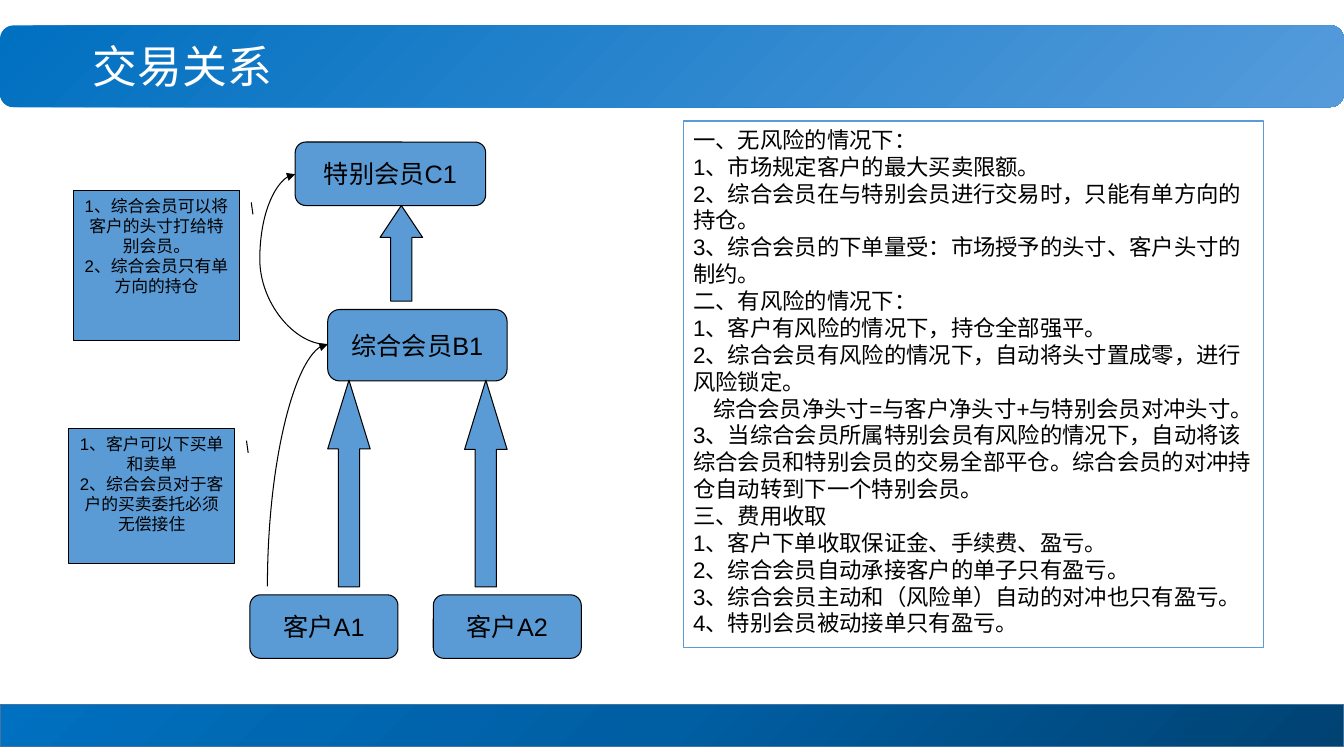
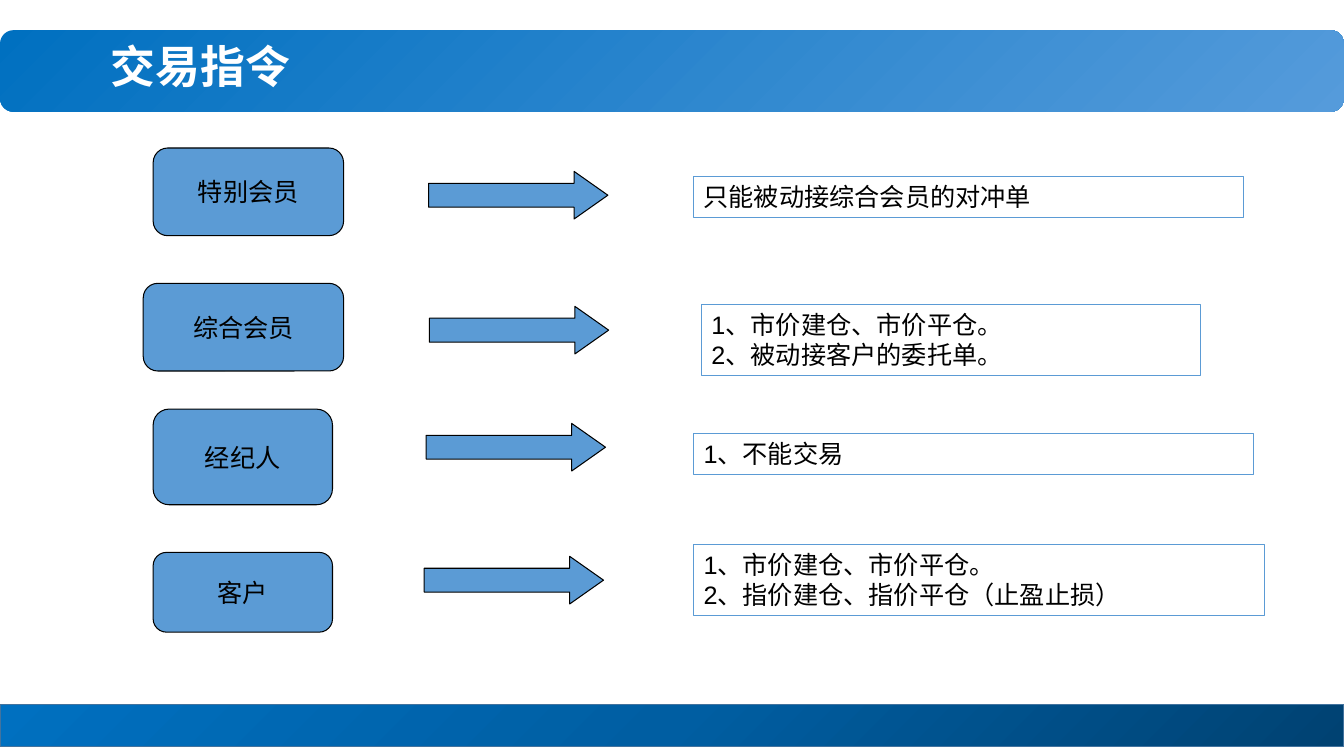
from lxml import etree
from pptx import Presentation
from pptx.dml.color import RGBColor
from pptx.enum.shapes import MSO_CONNECTOR as Link, MSO_SHAPE as Preset
from pptx.enum.text import MSO_ANCHOR as Anchor, MSO_AUTO_SIZE as AutoSize, PP_ALIGN as Align
from pptx.oxml import parse_xml
from pptx.oxml.ns import nsdecls, qn
from pptx.util import Cm, Pt

WIDTH, HEIGHT = 33.87, 19.05
BLUE, BLACK, WHITE, FOOTER_EDGE = "5B9BD5", "000000", "FFFFFF", "43739E"
BAND_STOPS = [(0, "0070C0"), (100, "559BDB")]
BAND_DIRECTION = '<a:lin ang="2700000" scaled="0"/>'
FOOTER_STOPS = [(0, "004272"), (50, "005EA2"), (100, "0070C0")]
FOOTER_DIRECTION = '<a:path path="circle"><a:fillToRect l="100000" t="100000"/></a:path>'

TITLE_FONT = {"name": "Calibri", "size": Pt(32)}
BODY_FONT = {"name": "Arial", "size": Pt(18)}
RULE_FONT = {"name": "Arial", "size": Pt(16)}
NOTE_FONT = {"name": "Arial", "size": Pt(12)}
TITLE_FRAME = {"vertical_anchor": Anchor.MIDDLE, "word_wrap": True, "auto_size": AutoSize.NONE}
BOX_FRAME = {"vertical_anchor": Anchor.MIDDLE, "word_wrap": False}
NOTE_FRAME = {"vertical_anchor": Anchor.TOP, "word_wrap": True}
PANEL_FRAME = {"word_wrap": True, "auto_size": AutoSize.SHAPE_TO_FIT_TEXT}

MEMBERS = [
    ("特别会员C1", (7.44, 3.58, 4.8, 1.6)),
    ("综合会员B1", (8.26, 7.8, 4.52, 1.8)),
    ("客户A1", (6.3, 14.99, 3.73, 1.6)),
    ("客户A2", (10.92, 14.99, 3.73, 1.6)),
]
UP_ARROWS = [
    ((8.26, 9.58, 1.07, 5.21), 1.62),
    ((11.71, 9.58, 1.07, 5.21), 1.63),
    ((9.58, 5.18, 1.07, 2.41), 0.75),
]
CURVES = [
    {"start": (10.55, 12.49), "end": (4.45, 10.97), "rotation": 90,
     "preset": "curvedConnector2", "bend": None},
    {"start": (7.44, 4.39), "end": (8.25, 8.68), "rotation": 180,
     "preset": "curvedConnector3", "bend": 210300},
]
NOTES = [
    (["1、客户可以下买单和卖单", "2、综合会员对于客户的买卖委托必须无偿接住"],
     (1.73, 10.8, 4.19, 3.4), (0.09, 0.18)),
    (["1、综合会员可以将客户的头寸打给特别会员。", "2、综合会员只有单方向的持仓"],
     (1.85, 4.8, 4.19, 3.78), (0.08, 0.16)),
]
RULES = [
    "一、无风险的情况下：",
    "1、市场规定客户的最大买卖限额。",
    "2、综合会员在与特别会员进行交易时，只能有单方向的持仓。",
    "3、综合会员的下单量受：市场授予的头寸、客户头寸的制约。",
    "二、有风险的情况下：",
    "1、客户有风险的情况下，持仓全部强平。",
    "2、综合会员有风险的情况下，自动将头寸置成零，进行风险锁定。",
    "综合会员净头寸=与客户净头寸+与特别会员对冲头寸。",
    "3、当综合会员所属特别会员有风险的情况下，自动将该综合会员和特别会员的交易全部平仓。"
    "综合会员的对冲持仓自动转到下一个特别会员。",
    "三、费用收取",
    "1、客户下单收取保证金、手续费、盈亏。",
    "2、综合会员自动承接客户的单子只有盈亏。",
    "3、综合会员主动和（风险单）自动的对冲也只有盈亏。",
    "4、特别会员被动接单只有盈亏。",
]
FORMULA_ROW = 7

ORDERS = [
    ("特别会员", (3.86, 3.73, 4.8, 2.21), (10.8, 4.32),
     ["只能被动接综合会员的对冲单"], (17.48, 4.45, 13.87, 1.04)),
    ("综合会员", (3.61, 7.14, 5.05, 2.21), (10.82, 7.72),
     ["1、市价建仓、市价平仓。", "2、被动接客户的委托单。"], (17.68, 7.67, 12.57, 1.8)),
    ("经纪人", (3.86, 10.31, 4.52, 2.41), (10.74, 10.67),
     ["1、不能交易"], (17.48, 10.92, 14.12, 1.04)),
    ("客户", (3.86, 13.92, 4.52, 2.01), (10.69, 14.02),
     ["1、市价建仓、市价平仓。", "2、指价建仓、指价平仓（止盈止损）"], (17.48, 13.72, 14.4, 1.8)),
]
ORDER_ARROW = (4.52, 1.2)


def color(value):
    return RGBColor.from_string(value)


def lengths(values):
    return [Cm(value) for value in values]


def apply(target, values):
    for name, value in values.items():
        setattr(target, name, value)


def outline(shape, value, width=0.75):
    shape.line.color.rgb = color(value)
    shape.line.width = Pt(width)


def write(shape, lines, font, frame, align=Align.LEFT, text_color=BLACK):
    text_frame = shape.text_frame
    apply(text_frame, frame)
    for index, line in enumerate(lines):
        paragraph = text_frame.paragraphs[0] if index == 0 else text_frame.add_paragraph()
        paragraph.alignment = align
        run = paragraph.add_run()
        run.text = line
        apply(run.font, font)
        run.font.color.rgb = color(text_color)


def add_preset(slide, preset, box, adjustments=()):
    shape = slide.shapes.add_shape(preset, *lengths(box))
    shape.shadow.inherit = False
    shape.fill.solid()
    shape.fill.fore_color.rgb = color(BLUE)
    outline(shape, BLACK)
    for index, value in enumerate(adjustments):
        shape.adjustments[index] = value
    return shape


def add_box(slide, label, box):
    shape = add_preset(slide, Preset.FLOWCHART_ALTERNATE_PROCESS, box)
    write(shape, [label], BODY_FONT, BOX_FRAME, Align.CENTER)


def add_panel(slide, lines, box, font):
    panel = slide.shapes.add_textbox(*lengths(box))
    outline(panel, BLUE)
    write(panel, lines, font, PANEL_FRAME)
    return panel


def add_gradient(slide, preset, box, stops, direction):
    shape = add_preset(slide, preset, box)
    properties = shape.element.spPr
    properties.remove(properties.find(qn("a:solidFill")))
    stop_xml = "".join(
        f'<a:gs pos="{position * 1000}"><a:srgbClr val="{value}"/></a:gs>'
        for position, value in stops)
    gradient = parse_xml(
        f'<a:gradFill {nsdecls("a")} rotWithShape="1">'
        f"<a:gsLst>{stop_xml}</a:gsLst>{direction}</a:gradFill>")
    properties.find(qn("a:prstGeom")).addnext(gradient)
    return shape


def add_curve(slide, start, end, rotation, preset, bend):
    connector = slide.shapes.add_connector(Link.CURVE, *lengths(start + end))
    connector.element.spPr.find(qn("a:xfrm")).set("rot", str(rotation * 60000))
    outline(connector, BLACK)
    properties = connector.element.spPr
    geometry = properties.find(qn("a:prstGeom"))
    geometry.set("prst", preset)
    if bend is not None:
        guides = geometry.find(qn("a:avLst"))
        if guides is None:
            guides = etree.SubElement(geometry, qn("a:avLst"))
        etree.SubElement(guides, qn("a:gd"), name="adj1", fmla=f"val {bend}")
    etree.SubElement(properties.find(qn("a:ln")), qn("a:tailEnd"), type="triangle")
    etree.SubElement(properties, qn("a:effectLst"))


def add_slide(presentation, title_text, title_box, band_top, bold):
    slide = presentation.slides.add_slide(presentation.slide_layouts[5])
    footer = add_gradient(slide, Preset.RECTANGLE, (0, 17.75, WIDTH, 1.07),
                          FOOTER_STOPS, FOOTER_DIRECTION)
    outline(footer, FOOTER_EDGE, 1)
    band = add_gradient(slide, Preset.ROUNDED_RECTANGLE, (0, band_top, WIDTH, 2.06),
                        BAND_STOPS, BAND_DIRECTION)
    band.line.fill.background()
    title = slide.shapes.title
    slide.shapes.element.append(title.element)
    apply(title, dict(zip(("left", "top", "width", "height"), lengths(title_box))))
    write(title, [title_text], {**TITLE_FONT, "bold": bold}, TITLE_FRAME, text_color=WHITE)
    title.text_frame.paragraphs[0].line_spacing = 0.9
    return slide


def build_relations(presentation):
    slide = add_slide(presentation, "交易关系", (2.08, 0.74, 18.97, 2.01), 0.64, False)
    for label, box in MEMBERS:
        add_box(slide, label, box)
    for box, head in UP_ARROWS:
        add_preset(slide, Preset.UP_ARROW, box, (0.5, head))
    for curve in CURVES:
        add_curve(slide, **curve)
    for lines, box, (top, bottom) in NOTES:
        note = add_preset(slide, Preset.LINE_CALLOUT_2, box,
                          (top, 1.07, top, 1.07, bottom, 1.08))
        write(note, lines, NOTE_FONT, NOTE_FRAME, Align.CENTER)
    panel = add_panel(slide, RULES, (17.22, 3.05, 14.63, 13.26), RULE_FONT)
    formula = panel.text_frame.paragraphs[FORMULA_ROW]
    formula.element.get_or_add_pPr().set("indent", str(Cm(0.5))) if hasattr(
        formula, "element") else formula._p.get_or_add_pPr().set("indent", str(Cm(0.5)))


def build_orders(presentation):
    slide = add_slide(presentation, "交易指令", (2.54, 0.74, 14.94, 2.01), 0.76, True)
    for label, box, arrow_corner, lines, panel_box in ORDERS:
        add_box(slide, label, box)
        add_preset(slide, Preset.RIGHT_ARROW, arrow_corner + ORDER_ARROW, (0.5, 0.71))
        add_panel(slide, lines, panel_box, BODY_FONT)


def main():
    presentation = Presentation()
    presentation.slide_width, presentation.slide_height = lengths((WIDTH, HEIGHT))
    build_relations(presentation)
    build_orders(presentation)
    presentation.save("out.pptx")


if __name__ == "__main__":
    main()
